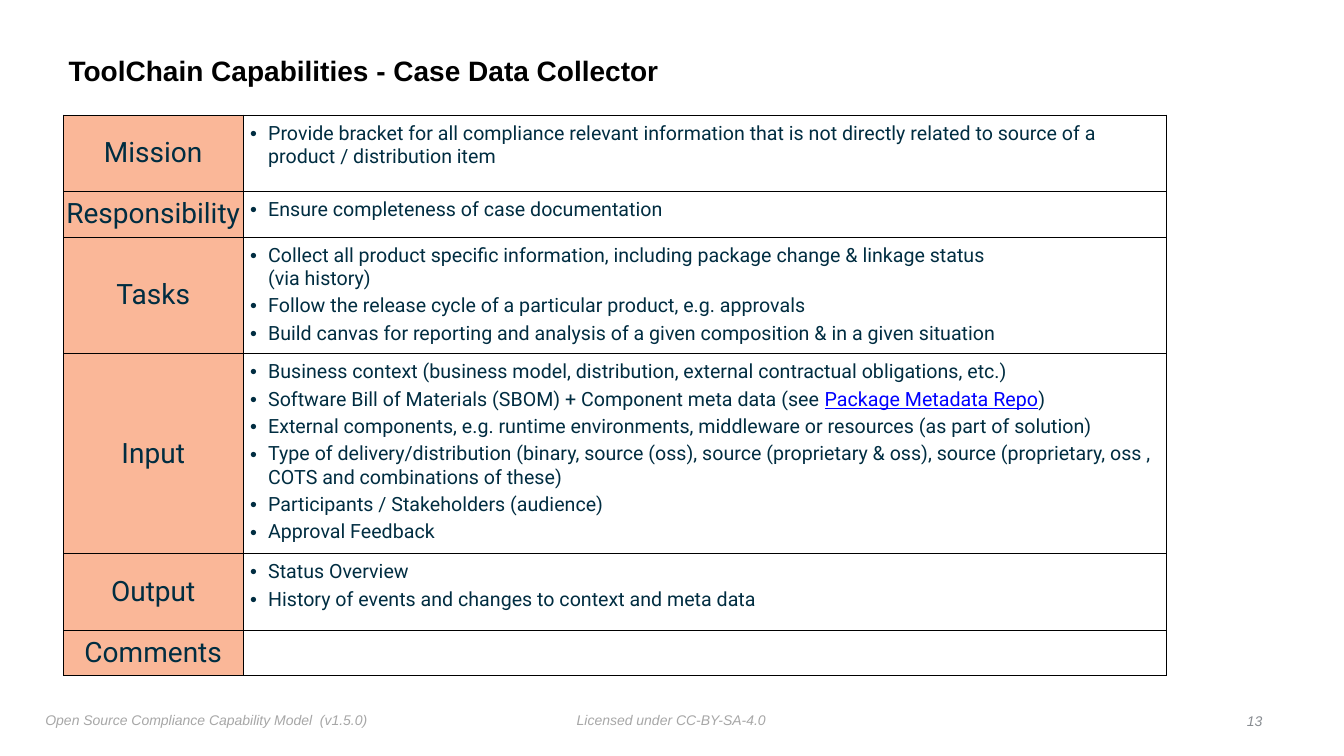
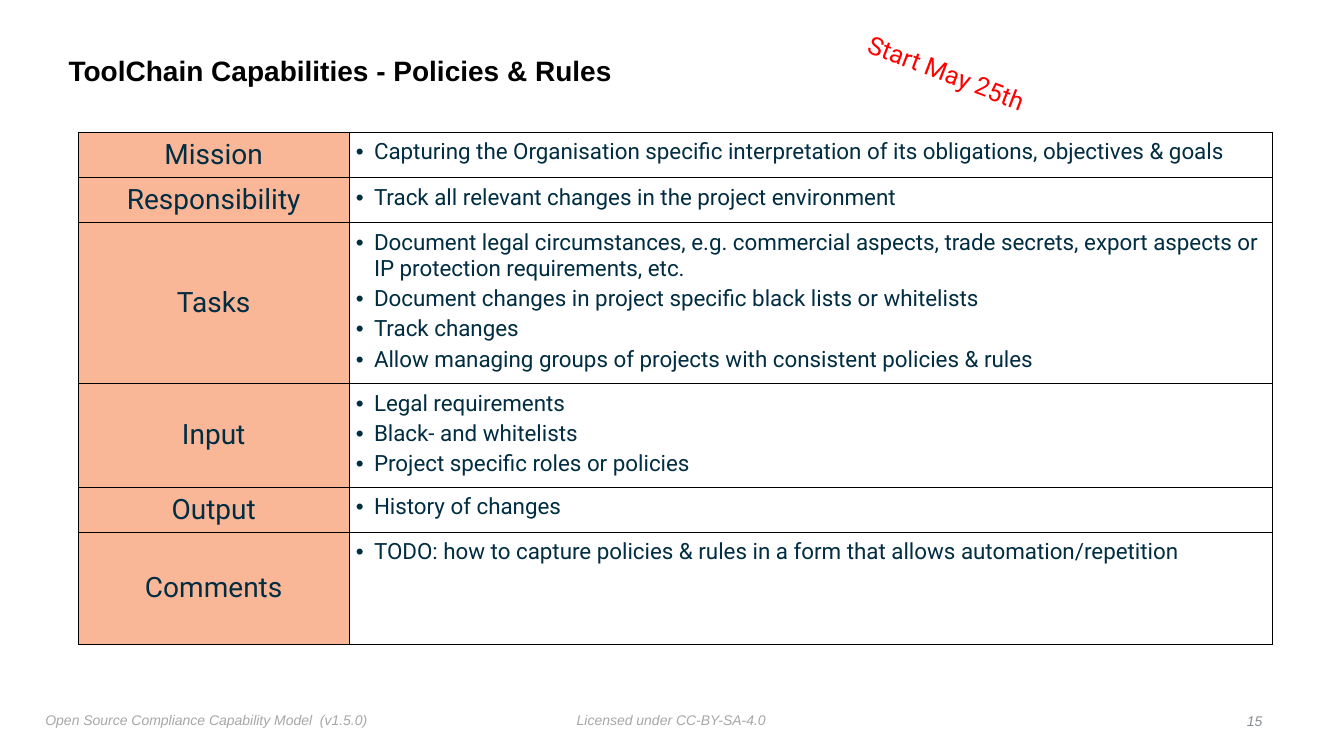
from dataclasses import dataclass

from lxml.etree import SubElement
from pptx import Presentation
from pptx.dml.color import RGBColor
from pptx.enum.text import MSO_ANCHOR as Anchor, PP_ALIGN as Align
from pptx.oxml.ns import qn
from pptx.slide import Slide
from pptx.table import _Cell as Cell
from pptx.text.text import _Paragraph as Paragraph
from pptx.util import Inches, Pt

COLORS = {
    "title": "000000",
    "border": "000000",
    "label_fill": "FAB798",
    "cell_fill": "FFFFFF",
    "body": "002D41",
    "link": "0000FF",
    "footer": "A7A7A7",
    "number": "888C91",
    "note": "FF0000",
}
HEADING_FONT = "Arial"
BODY_FONT = "Roboto"
LABELS = ("Mission", "Responsibility", "Tasks", "Input", "Output", "Comments")
CONTENT_WIDTH = 9.16


@dataclass(frozen=True)
class Style:
    font: str
    size: int
    color: str
    bold: bool = False
    italic: bool = False
    underline: bool = False


@dataclass(frozen=True)
class Box:
    left: float
    top: float
    width: float
    height: float
    rotation: float = 0


@dataclass(frozen=True)
class Link:
    text: str


Bullet = tuple[str | Link, ...]


@dataclass(frozen=True)
class Row:
    height: float
    bullets: tuple[Bullet, ...] = ()


@dataclass(frozen=True)
class Capability:
    name: str
    number: int
    left: float
    top: float
    label_width: float
    text_size: int
    rows: tuple[Row, ...]
    note: str = ""


TITLE = Style(HEADING_FONT, 20, "title", bold=True)
LABEL = Style(BODY_FONT, 20, "body")
FOOTER = Style(HEADING_FONT, 10, "footer", italic=True)
NUMBER = Style(HEADING_FONT, 10, "number", italic=True)
NOTE = Style(BODY_FONT, 18, "note")

TITLE_BOX = Box(0.63, 0.39, 10.75, 0.65)
NUMBER_BOX = Box(12.07, 7.03, 0.5, 0.25)
NOTE_BOX = Box(8.52, 0.52, 1.75, 0.4, rotation=20.9)
FOOTERS = (
    ("Licensed under CC-BY-SA-4.0", Box(5.67, 7.01, 1.99, 0.25)),
    ("Open Source Compliance Capability Model  (v1.5.0)", Box(0.4, 7.01, 3.32, 0.27)),
)

CAPABILITIES = (
    Capability(
        "Case Data Collector", 13, 0.63, 1.14, 1.78, 14,
        (
            Row(0.76, (
                ("Provide bracket for all compliance relevant information that is not "
                 "directly related to source of a product / distribution item",),
            )),
            Row(0.45, (("Ensure completeness of case documentation",),)),
            Row(1.14, (
                ("Collect all product specific information, including package change "
                 "& linkage status \n(via history)",),
                ("Follow the release cycle of a particular product, e.g. approvals",),
                ("Build canvas for reporting and analysis of a given composition "
                 "& in a given situation",),
            )),
            Row(1.96, (
                ("Business context (business model, distribution, external contractual "
                 "obligations, etc.)",),
                ("Software Bill of Materials (SBOM) + Component meta data (see ",
                 Link("Package Metadata Repo"), ")"),
                ("External components, e.g. runtime environments, middleware or resources "
                 "(as part of solution)",),
                ("Type of delivery/distribution (binary, source (oss), source (proprietary "
                 "& oss), source (proprietary, oss , COTS and combinations of these)",),
                ("Participants / Stakeholders (audience)",),
                ("Approval Feedback",),
            )),
            Row(0.76, (
                ("Status Overview",),
                ("History of events and changes to context and meta data",),
            )),
            Row(0.45),
        ),
    ),
    Capability(
        "Policies & Rules", 15, 0.78, 1.31, 2.68, 16,
        (
            Row(0.45, (
                ("Capturing the Organisation specific interpretation of its obligations, "
                 "objectives & goals",),
            )),
            Row(0.45, (("Track all relevant changes in the project environment",),)),
            Row(1.56, (
                ("Document legal circumstances, e.g. commercial aspects, trade secrets, "
                 "export aspects or IP protection requirements, etc.",),
                ("Document changes in project specific black lists or whitelists",),
                ("Track changes",),
                ("Allow managing groups of projects with consistent policies & rules",),
            )),
            Row(1.0, (
                ("Legal requirements",),
                ("Black- and whitelists",),
                ("Project specific roles or policies",),
            )),
            Row(0.45, (("History of changes",),)),
            Row(1.11, (
                ("TODO: how to capture policies & rules in a form that allows "
                 "automation/repetition",),
            )),
        ),
        note="Start May 25th",
    ),
)


def rgb(name: str) -> RGBColor:
    return RGBColor.from_string(COLORS[name])


def add_run(paragraph: Paragraph, text: str, style: Style) -> None:
    for index, line in enumerate(text.split("\n")):
        if index:
            paragraph.add_line_break()
        run = paragraph.add_run()
        run.text = line
        run.font.name = style.font
        run.font.size = Pt(style.size)
        run.font.bold = style.bold
        run.font.italic = style.italic
        run.font.underline = style.underline
        run.font.color.rgb = rgb(style.color)


def add_text(slide: Slide, box: Box, text: str, style: Style, wrap: bool = False,
             anchor: Anchor = Anchor.TOP, align: Align = Align.LEFT) -> Paragraph:
    shape = slide.shapes.add_textbox(
        Inches(box.left), Inches(box.top), Inches(box.width), Inches(box.height))
    shape.rotation = box.rotation
    frame = shape.text_frame
    frame.word_wrap = wrap
    frame.vertical_anchor = anchor
    frame.margin_left = frame.margin_right = Inches(0.05)
    frame.margin_top = frame.margin_bottom = Inches(0.05)
    paragraph = frame.paragraphs[0]
    paragraph.alignment = align
    add_run(paragraph, text, style)
    return paragraph


def format_cell(cell: Cell, fill: str, margin: float, anchor: Anchor) -> None:
    properties = cell._tc.get_or_add_tcPr()
    for side in ("lnL", "lnR", "lnT", "lnB"):
        line = SubElement(properties, qn(f"a:{side}"), w=str(Pt(0.5)))
        solid = SubElement(line, qn("a:solidFill"))
        SubElement(solid, qn("a:srgbClr"), val=COLORS["border"])
    cell.fill.solid()
    cell.fill.fore_color.rgb = rgb(fill)
    cell.margin_left = cell.margin_right = Inches(margin)
    cell.margin_top = cell.margin_bottom = Inches(margin)
    cell.vertical_anchor = anchor


def fill_label(cell: Cell, label: str) -> None:
    format_cell(cell, "label_fill", 0, Anchor.MIDDLE)
    paragraph = cell.text_frame.paragraphs[0]
    paragraph.alignment = Align.CENTER
    add_run(paragraph, label, LABEL)


def fill_bullets(cell: Cell, bullets: tuple[Bullet, ...], size: int) -> None:
    format_cell(cell, "cell_fill", 0.07, Anchor.TOP)
    body = Style(BODY_FONT, size, "body")
    link = Style(BODY_FONT, size, "link", underline=True)
    frame = cell.text_frame
    for index, bullet in enumerate(bullets):
        paragraph = frame.add_paragraph() if index else frame.paragraphs[0]
        properties = paragraph._p.get_or_add_pPr()
        properties.set("marL", str(Inches(0.18)))
        properties.set("indent", str(Inches(-0.18)))
        SubElement(properties, qn("a:buFont"), typeface=HEADING_FONT)
        SubElement(properties, qn("a:buChar"), char="•")
        if index:
            paragraph.space_before = Pt(3)
        for part in bullet:
            if isinstance(part, Link):
                add_run(paragraph, part.text, link)
            else:
                add_run(paragraph, part, body)


def add_capability_table(slide: Slide, capability: Capability) -> None:
    widths = (capability.label_width, CONTENT_WIDTH)
    height = sum(row.height for row in capability.rows)
    table = slide.shapes.add_table(
        len(LABELS), len(widths), Inches(capability.left), Inches(capability.top),
        Inches(sum(widths)), Inches(height)).table
    table.first_row = False
    table.horz_banding = False
    for column, width in zip(table.columns, widths):
        column.width = Inches(width)
    for index, (label, row) in enumerate(zip(LABELS, capability.rows)):
        table.rows[index].height = Inches(row.height)
        fill_label(table.cell(index, 0), label)
        fill_bullets(table.cell(index, 1), row.bullets, capability.text_size)


def add_capability_slide(presentation: Presentation, capability: Capability) -> None:
    slide = presentation.slides.add_slide(presentation.slide_layouts[6])
    for text, box in FOOTERS:
        add_text(slide, box, text, FOOTER)
    title = add_text(slide, TITLE_BOX, f"ToolChain Capabilities - {capability.name}",
                     TITLE, wrap=True, anchor=Anchor.MIDDLE)
    title.line_spacing = 0.9
    add_capability_table(slide, capability)
    add_text(slide, NUMBER_BOX, str(capability.number), NUMBER, wrap=True,
             anchor=Anchor.MIDDLE, align=Align.RIGHT)
    if capability.note:
        add_text(slide, NOTE_BOX, capability.note, NOTE)


def main() -> None:
    presentation = Presentation()
    presentation.slide_width = Inches(13.33)
    presentation.slide_height = Inches(7.5)
    for capability in CAPABILITIES:
        add_capability_slide(presentation, capability)
    presentation.save("out.pptx")


if __name__ == "__main__":
    main()
